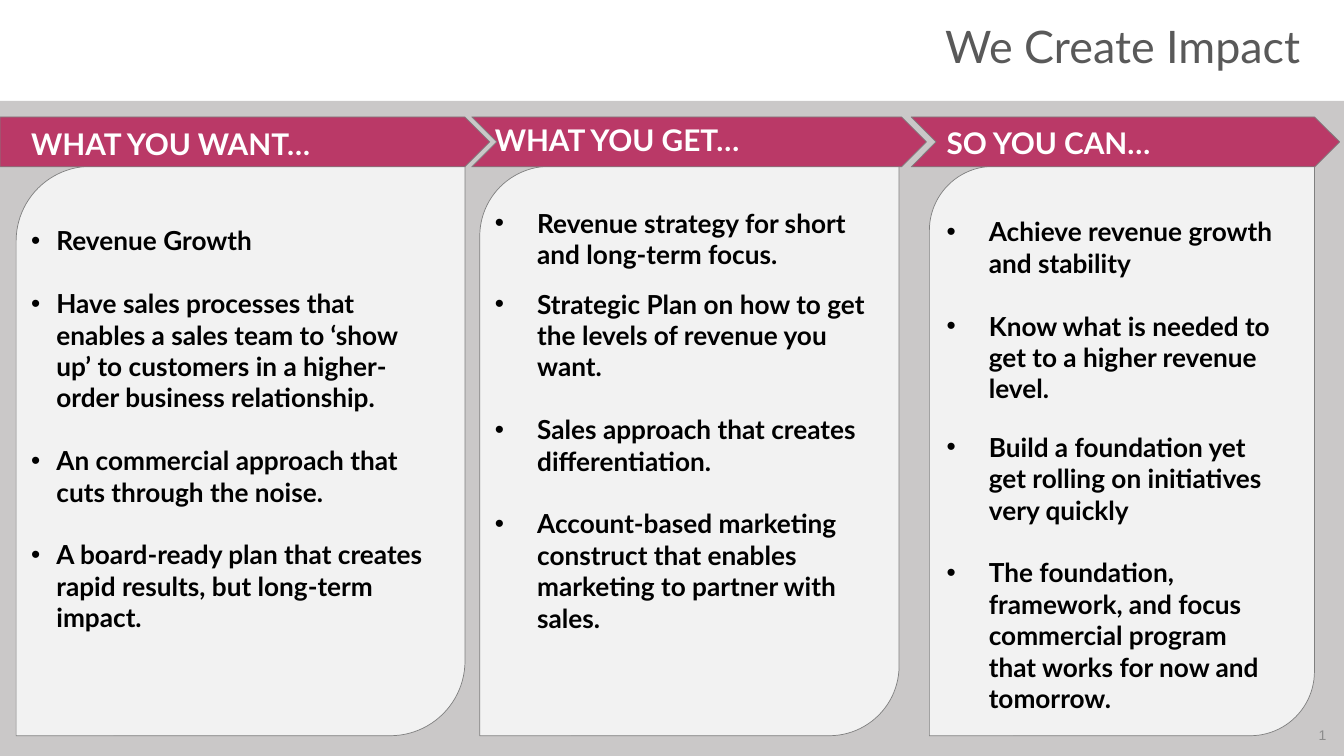
from dataclasses import dataclass
from lxml import etree
from pptx import Presentation
from pptx import util as u
from pptx.dml.color import RGBColor
from pptx.enum import shapes, text
from pptx.oxml.ns import qn

WIDE, HIGH = u.Inches(13.333), u.Inches(7.5)
KIND = shapes.MSO_SHAPE
ALIGN = text.PP_ALIGN


@dataclass(frozen=True)
class Theme:
    face: str = "Lato"
    plain: str = "Arial"
    band: str = "CAC8C8"
    card: str = "F2F2F2"
    edge: str = "808080"
    head: str = "BA3967"
    rim: str = "7F7F7F"
    title: str = "595959"
    light: str = "FFFFFF"
    dark: str = "000000"
    mute: str = "8C8C8C"
    big: float = 32
    mid: float = 21.3
    body: float = 18.7
    small: float = 10


T = Theme()
WIDE_PAD, SLIM_PAD = (0.13, 0.07), (0.1, 0.05)
CARD_ROW = (22, 75.33)
HEAD_ROW = (15.47, 6.6)

# Each stage: header, points with space before, and spans in percent of the slide.
STAGES = [
    dict(head="WHAT YOU WANT…", kind=KIND.PENTAGON, card=(1.2, 33.4),
         bar=(0, 36.45), box=(1.35, 15.73, 31.13, 84.13), pad=WIDE_PAD,
         dent=0.25, points=[
             (44.9, "Revenue Growth"),
             (22.4, "Have sales processes that enables a sales team to ‘show up’ "
                    "to customers in a higher-order business relationship."),
             (22.4, "An commercial approach that cuts through the noise."),
             (22.4, "A board-ready plan that creates rapid results, but "
                    "long-term impact.")]),
    dict(head="WHAT YOU GET…", kind=KIND.CHEVRON, card=(35.7, 31.2),
         bar=(35.1, 33.83), box=(36.08, 15.47, 31.05, 69.33), pad=SLIM_PAD,
         dent=0.42, points=[
             (35.3, "Revenue strategy for short and long-term focus."),
             (12.8, "Strategic Plan on how to get the levels of revenue you want."),
             (22.4, "Sales approach that creates differentiation."),
             (22.4, "Account-based marketing construct that enables marketing "
                    "to partner with sales.")]),
    dict(head="SO YOU CAN…", kind=KIND.CHEVRON, card=(69.15, 28.65),
         bar=(67.8, 31.88), box=(69.45, 15.6, 26.55, 84.53), pad=WIDE_PAD,
         dent=0.42, points=[
             (39.2, "Achieve revenue growth and stability"),
             (22.4, "Know what is needed to get to a higher revenue level."),
             (19.2, "Build a foundation yet get rolling on initiatives very quickly"),
             (22.4, "The foundation, framework, and focus commercial program "
                    "that works for now and tomorrow.")]),
]


def place(left, top, wide, high):
    return (int(WIDE * left / 100), int(HIGH * top / 100),
            int(WIDE * wide / 100), int(HIGH * high / 100))


def panel(slide, kind, area, fill, line=None):
    shape = slide.shapes.add_shape(kind, *place(*area))
    shape.shadow.inherit = False
    shape.fill.solid()
    shape.fill.fore_color.rgb = RGBColor.from_string(fill)
    if line:
        shape.line.color.rgb = RGBColor.from_string(line)
        shape.line.width = u.Pt(0.5)
    else:
        shape.line.fill.background()


def write(para, words, size, color, face=T.face, bold=False):
    run = para.add_run()
    run.text = words
    font = run.font
    font.name, font.size, font.bold = face, u.Pt(size), bold
    font.color.rgb = RGBColor.from_string(color)


def dot(para, dent):
    props = para._p.get_or_add_pPr()
    props.set("marL", str(u.Inches(dent)))
    props.set("indent", str(-u.Inches(dent)))
    etree.SubElement(props, qn("a:buFont")).set("typeface", T.plain)
    etree.SubElement(props, qn("a:buChar")).set("char", "•")


def frame(slide, area, pad):
    body = slide.shapes.add_textbox(*place(*area)).text_frame
    body.word_wrap = True
    body.margin_left = body.margin_right = u.Inches(pad[0])
    body.margin_top = body.margin_bottom = u.Inches(pad[1])
    return body


def heading(slide, words):
    title = slide.shapes.title
    title.left, title.top, title.width, title.height = place(12.52, 3.33, 84.98, 6.27)
    body = title.text_frame
    body.auto_size = text.MSO_AUTO_SIZE.NONE
    body.vertical_anchor = text.MSO_ANCHOR.MIDDLE
    para = body.paragraphs[0]
    para.alignment = ALIGN.RIGHT
    para.line_spacing = 0.9
    write(para, words, T.big, T.title)


def column(slide, stage):
    (left, wide), (top, high) = stage["card"], CARD_ROW
    panel(slide, KIND.ROUND_2_DIAG_RECTANGLE, (left, top, wide, high), T.card, T.edge)
    (left, wide), (top, high) = stage["bar"], HEAD_ROW
    panel(slide, stage["kind"], (left, top, wide, high), T.head, T.rim)
    body = frame(slide, stage["box"], stage["pad"])
    write(body.paragraphs[0], stage["head"], T.mid, T.light, bold=True)
    for gap, words in stage["points"]:
        para = body.add_paragraph()
        dot(para, stage["dent"])
        para.space_before = u.Pt(gap)
        write(para, words, T.body, T.dark, bold=True)


def number(slide, words):
    body = frame(slide, (73.2, 94.8, 26.47, 4.8), WIDE_PAD)
    body.vertical_anchor = text.MSO_ANCHOR.MIDDLE
    para = body.paragraphs[0]
    para.alignment = ALIGN.RIGHT
    write(para, words, T.small, T.mute, T.plain)


def main():
    deck = Presentation()
    deck.slide_width, deck.slide_height = WIDE, HIGH
    slide = deck.slides.add_slide(deck.slide_layouts[5])
    panel(slide, KIND.RECTANGLE, (0, 13.33, 100, 86.67), T.band)
    heading(slide, "We Create Impact")
    for stage in STAGES:
        column(slide, stage)
    number(slide, "1")
    deck.save("out.pptx")


if __name__ == "__main__":
    main()
